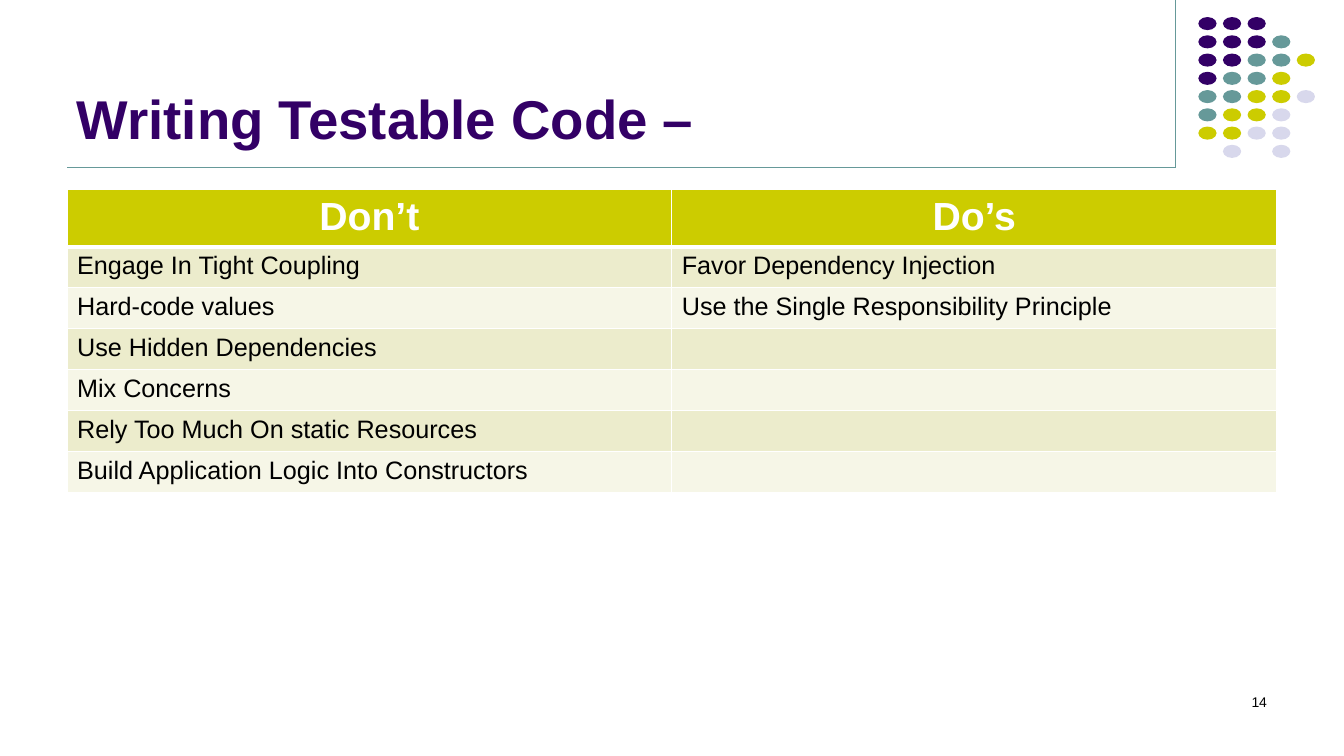
import dataclasses

import lxml.etree
import pptx
import pptx.dml.color
import pptx.enum.shapes
import pptx.enum.text
import pptx.oxml.ns
import pptx.util

Cm = pptx.util.Cm
Pt = pptx.util.Pt
RGB = pptx.dml.color.RGBColor
Align = pptx.enum.text.PP_ALIGN
Anchor = pptx.enum.text.MSO_ANCHOR
qn = pptx.oxml.ns.qn

PURPLE = RGB(0x33, 0x00, 0x66)
TEAL = RGB(0x66, 0x99, 0x99)
LIME = RGB(0xCC, 0xCC, 0x00)
LILAC = RGB(0xD8, 0xD8, 0xEC)
SAND = RGB(0xEC, 0xEC, 0xCC)
CREAM = RGB(0xF6, 0xF6, 0xE7)
WHITE = RGB(0xFF, 0xFF, 0xFF)
BLACK = RGB(0x00, 0x00, 0x00)

LEFT, RULE_X, RULE_Y = 1.69, 29.63, 4.23


@dataclasses.dataclass(frozen=True)
class Style:
    size: float
    color: RGB
    bold: bool = False
    align: Align = Align.LEFT


@dataclasses.dataclass(frozen=True)
class Label:
    text: str
    left: float
    top: float
    width: float
    height: float
    style: Style
    anchor: Anchor


@dataclasses.dataclass(frozen=True)
class Rule:
    x1: float
    y1: float
    x2: float
    y2: float


HEAD = Style(28, WHITE, True, Align.CENTER)
BODY = Style(18, BLACK)

LABELS = [
    Label("Writing Testable Code –", LEFT, 0.32, 27.94, 3.6,
          Style(39, PURPLE, True), Anchor.BOTTOM),
    Label("14", 24.28, 17.35, 7.9, 1.27,
          Style(10, BLACK, align=Align.RIGHT), Anchor.TOP),
]
RULES = [Rule(RULE_X, 0, RULE_X, RULE_Y), Rule(LEFT, RULE_Y, RULE_X, RULE_Y)]

# One letter per dot, a blank where there is none
DOTS = ["PPP", "PPPT", "PPTTL", "PTTL", "TTLLV", "TLLV", "LLVV", " V V"]
DOT_FILLS = {"P": PURPLE, "T": TEAL, "L": LIME, "V": LILAC}

ROWS = [
    ("Don’t", "Do’s"),
    ("Engage In Tight Coupling", "Favor Dependency Injection"),
    ("Hard-code values", "Use the Single Responsibility Principle"),
    ("Use Hidden Dependencies", ""),
    ("Mix Concerns", ""),
    ("Rely Too Much On static Resources", ""),
    ("Build Application Logic Into Constructors", ""),
]


def write(frame, text: str, style: Style) -> None:
    para = frame.paragraphs[0]
    para.alignment = style.align
    para.font.size = Pt(style.size)
    if text:
        run = para.add_run()
        run.text = text
        run.font.name = "Arial"
        run.font.size = Pt(style.size)
        run.font.bold = style.bold
        run.font.color.rgb = style.color


def draw_label(slide, label: Label) -> None:
    box = slide.shapes.add_textbox(Cm(label.left), Cm(label.top),
                                   Cm(label.width), Cm(label.height))
    box.text_frame.word_wrap = True
    box.text_frame.vertical_anchor = label.anchor
    write(box.text_frame, label.text, label.style)


def draw_rule(slide, rule: Rule) -> None:
    line = slide.shapes.add_connector(
        pptx.enum.shapes.MSO_CONNECTOR.STRAIGHT,
        Cm(rule.x1), Cm(rule.y1), Cm(rule.x2), Cm(rule.y2))
    line.line.color.rgb = TEAL
    line.line.width = Pt(0.75)
    lxml.etree.SubElement(line._element.spPr, qn("a:effectLst"))


def draw_dots(slide) -> None:
    for row, marks in enumerate(DOTS):
        for col, mark in enumerate(marks):
            if mark == " ":
                continue
            dot = slide.shapes.add_shape(
                pptx.enum.shapes.MSO_SHAPE.OVAL,
                Cm(30.2 + 0.62 * col), Cm(0.43 + 0.46 * row),
                Cm(0.46), Cm(0.33))
            dot.shadow.inherit = False
            dot.fill.solid()
            dot.fill.fore_color.rgb = DOT_FILLS[mark]
            dot.line.fill.background()


def edge(cell, side: str, width: float) -> None:
    line = lxml.etree.SubElement(cell._tc.get_or_add_tcPr(), qn("a:ln" + side),
                                 w=str(Pt(width)))
    fill = lxml.etree.SubElement(line, qn("a:solidFill"))
    lxml.etree.SubElement(fill, qn("a:srgbClr"), val=str(WHITE))


def draw_table(slide) -> None:
    table = slide.shapes.add_table(len(ROWS), 2, Cm(LEFT), Cm(4.78),
                                   Cm(30.48), Cm(7.54)).table
    for row, texts in enumerate(ROWS):
        table.rows[row].height = Cm(1.03 if row else 1.36)
        for col, text in enumerate(texts):
            cell = table.cell(row, col)
            # Borders go before the fill in the cell's XML
            for side in "LRTB":
                thick = (row, side) in [(0, "B"), (1, "T")]
                edge(cell, side, 3 if thick else 1)
            cell.fill.solid()
            band = SAND if row % 2 else CREAM
            cell.fill.fore_color.rgb = band if row else LIME
            write(cell.text_frame, text, BODY if row else HEAD)


def main() -> None:
    deck = pptx.Presentation()
    deck.slide_width, deck.slide_height = Cm(33.87), Cm(19.05)
    slide = deck.slides.add_slide(deck.slide_layouts[6])

    # Frame and corner pattern
    for rule in RULES:
        draw_rule(slide, rule)
    draw_dots(slide)

    # Title, page number and table
    for label in LABELS:
        draw_label(slide, label)
    draw_table(slide)

    deck.save("out.pptx")


main()
